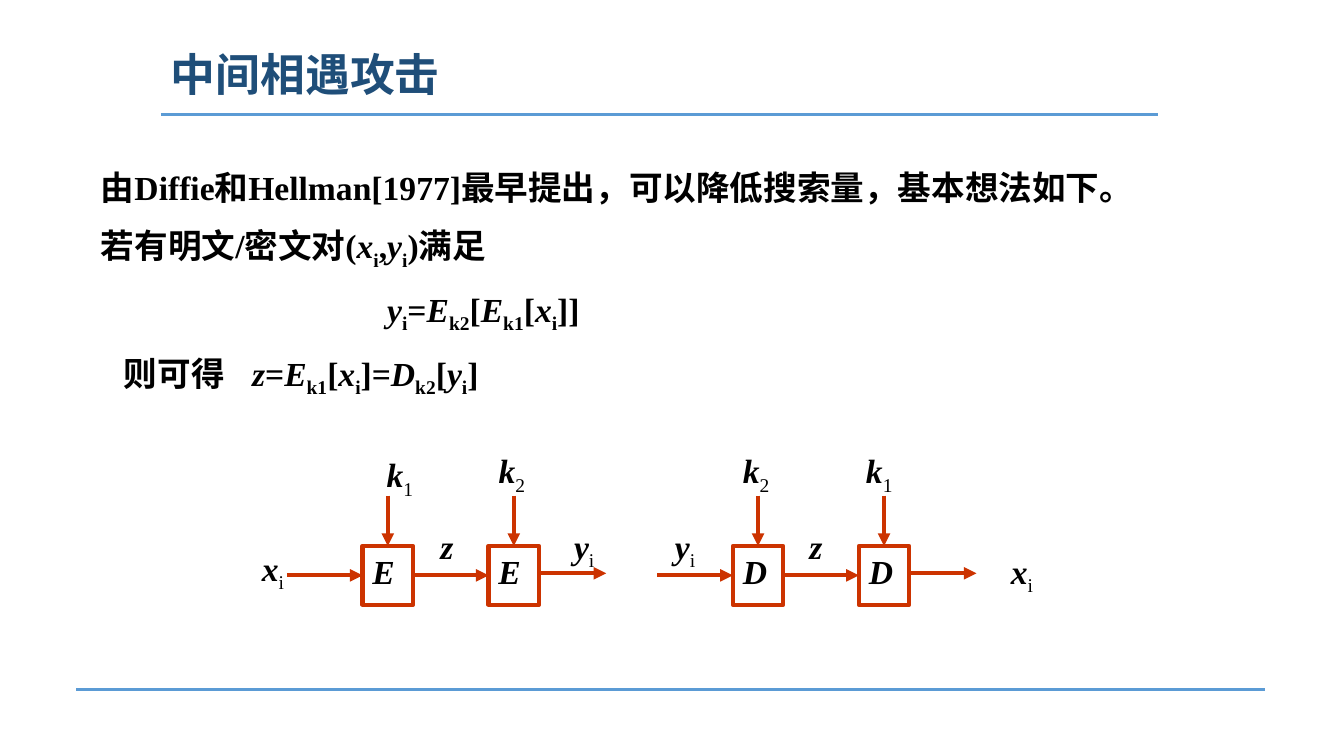
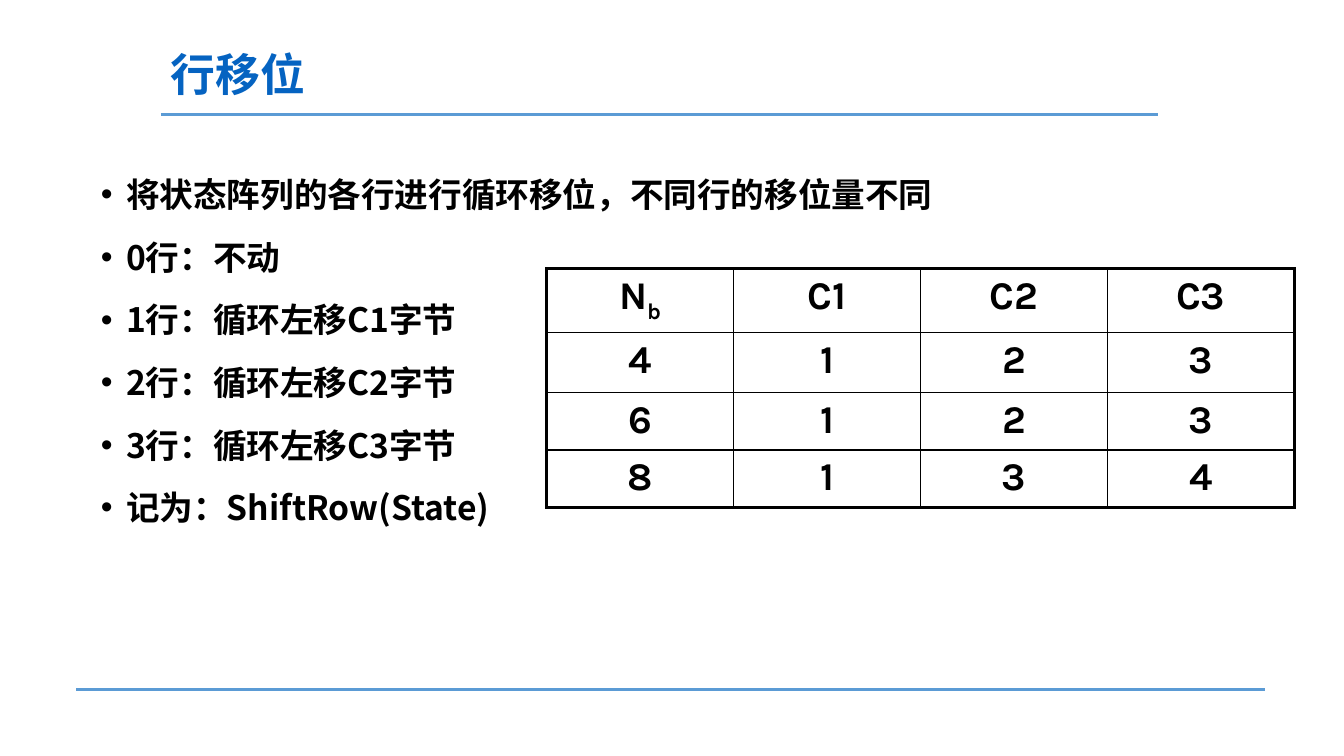
from typing import NamedTuple

from lxml.etree import SubElement
from pptx import Presentation
from pptx.dml.color import RGBColor
from pptx.enum.shapes import MSO_CONNECTOR as Connector, MSO_SHAPE as Shape
from pptx.enum.text import MSO_ANCHOR as Anchor, PP_ALIGN as Align
from pptx.oxml.ns import qn
from pptx.util import Pt

SANS = "Noto Sans CJK SC"
SERIF = "Times New Roman"
TABLE_FONT = "Karla"
BLACK, RULE_BLUE, CIPHER_RED = "000000", "5B9BD5", "CC3300"
TITLE_NAVY, TITLE_BLUE = "1F4E79", "0563C1"
TOP, LEFT, BOTTOM, RIGHT = range(4)


class Box(NamedTuple):
    left: float
    top: float
    width: float
    height: float


class Line(NamedTuple):
    """A body paragraph; in markup, pieces are split by |, * is italic, _ is subscript."""
    markup: str
    indent: float = 0
    tab: float = 0


class Label(NamedTuple):
    markup: str
    left: float
    top: float
    width: float


class Stage(NamedTuple):
    letter: str
    left: float


TITLE_BOX = Box(115, 29, 711.5, 52.5)
BODY_BOX = Box(65, 115, 828, 361)


def rgb(colour: str) -> RGBColor:
    return RGBColor.from_string(colour)


# Text

def style(paragraph, font_name: str, size: float, colour: str = BLACK, bold: bool = True) -> None:
    font = paragraph.font
    font.size, font.bold, font.name = Pt(size), bold, font_name
    font.color.rgb = rgb(colour)
    defaults = paragraph._p.get_or_add_pPr().find(qn("a:defRPr"))
    SubElement(defaults, qn("a:ea")).set("typeface", SANS)


def write(paragraph, markup: str, bold_subscript: bool = True) -> None:
    for piece in markup.split("|"):
        run = paragraph.add_run()
        run.text = piece.lstrip("*_")
        if piece.startswith("*"):
            run.font.italic = True
        elif piece.startswith("_"):
            run._r.get_or_add_rPr().set("baseline", "-25000")
            if not bold_subscript:
                run.font.bold = False


def add_text_frame(slide, box: Box, wrap: bool = True):
    frame = slide.shapes.add_textbox(*map(Pt, box)).text_frame
    frame.word_wrap = wrap
    return frame


def next_paragraph(frame, index: int, space_before: float):
    if index == 0:
        return frame.paragraphs[0]
    paragraph = frame.add_paragraph()
    paragraph.space_before = Pt(space_before)
    return paragraph


# Lines

def add_line(slide, start: tuple[float, float], end: tuple[float, float],
             colour: str, width: float, arrow: bool = False):
    line = slide.shapes.add_connector(Connector.STRAIGHT, *map(Pt, start + end))
    line.line.color.rgb = rgb(colour)
    line.line.width = Pt(width)
    if arrow:
        SubElement(line.line._get_or_add_ln(), qn("a:tailEnd")).set("type", "triangle")
    SubElement(line._element.spPr, qn("a:effectLst"))
    return line


def add_arrow(slide, start: tuple[float, float], end: tuple[float, float]):
    return add_line(slide, start, end, CIPHER_RED, 3, arrow=True)


# Frame shared by the slides

def add_slide(deck, title: str, title_colour: str):
    slide = deck.slides.add_slide(deck.slide_layouts[6])
    add_line(slide, (115, 81.5), (827, 81.5), RULE_BLUE, 2.25)
    add_line(slide, (54.5, 492.5), (903.5, 492.5), RULE_BLUE, 2.25)
    frame = add_text_frame(slide, TITLE_BOX)
    frame.vertical_anchor = Anchor.MIDDLE
    heading = frame.paragraphs[0]
    heading.line_spacing = 0.9
    write(heading, title)
    style(heading, SANS, 32, title_colour)
    return slide


# Meet-in-the-middle slide

ATTACK_LINES = [
    Line("由Diffie和Hellman[1977]最早提出，可以降低搜索量，基本想法如下。"),
    Line("若有明文/密文对(|*x|_i|,|*y|_i|)满足"),
    Line("*y|_i|=|*E|_k2|[|*E|_k1|[|*x|_i|]]", indent=204.5),
    Line("则可得\t|*z|=|*E|_k1|[|*x|_i|]=|*D|_k2|[|*y|_i|]", indent=16.5, tab=197.5),
]
STAGE_WIDTH, STAGE_HEIGHT, STAGE_TOP = 36, 42, 390
KEY_ARROW, INPUT_ARROW, OUTPUT_ARROW = 36, 54, 48
OUTPUT_Y = 409.5
CHAINS = [
    [Stage("E", 259), Stage("E", 349)],
    [Stage("D", 523.5), Stage("D", 613.5)],
]
CIPHER_LABELS = [
    Label("*x|_i", 180, 387.5, 31),
    Label("*z", 307.5, 372, 24),
    Label("*y|_i", 403, 372, 30),
    Label("*y|_i", 475, 372, 30),
    Label("*z", 571, 372, 24),
    Label("*x|_i", 715, 390, 31),
    Label("*k|_1", 269, 321, 34.5),
    Label("*k|_2", 349, 318, 34.5),
    Label("*k|_2", 523.5, 318, 34.5),
    Label("*k|_1", 611.5, 318, 34.5),
]


def add_stage(slide, stage: Stage):
    block = slide.shapes.add_shape(
        Shape.RECTANGLE, *map(Pt, (stage.left, STAGE_TOP, STAGE_WIDTH, STAGE_HEIGHT)))
    block.shadow.inherit = False
    block.fill.background()
    block.line.color.rgb = rgb(CIPHER_RED)
    block.line.width = Pt(3)
    frame = block.text_frame
    frame.word_wrap = False
    frame.vertical_anchor = Anchor.TOP
    letter = frame.paragraphs[0]
    letter.alignment = Align.LEFT
    write(letter, "*" + stage.letter)
    style(letter, SERIF, 24)

    middle = stage.left + STAGE_WIDTH / 2
    key = add_arrow(slide, (middle, STAGE_TOP - KEY_ARROW), (middle, STAGE_TOP))
    key.end_connect(block, TOP)
    return block


def add_chain(slide, stages: list[Stage]) -> None:
    middle = STAGE_TOP + STAGE_HEIGHT / 2
    previous = None
    for stage in stages:
        block = add_stage(slide, stage)
        link = add_arrow(slide, (stage.left - INPUT_ARROW, middle), (stage.left, middle))
        if previous is not None:
            link.begin_connect(previous, RIGHT)
        link.end_connect(block, LEFT)
        previous = block
    exit_x = stages[-1].left + STAGE_WIDTH
    add_arrow(slide, (exit_x, OUTPUT_Y), (exit_x + OUTPUT_ARROW, OUTPUT_Y))


def build_attack_slide(deck) -> None:
    slide = add_slide(deck, "中间相遇攻击", TITLE_NAVY)
    frame = add_text_frame(slide, BODY_BOX)
    for index, line in enumerate(ATTACK_LINES):
        paragraph = next_paragraph(frame, index, 16)
        paragraph.line_spacing = Pt(29.5)
        properties = paragraph._p.get_or_add_pPr()
        properties.set("indent", str(Pt(line.indent)))
        if line.tab:
            stop = SubElement(SubElement(properties, qn("a:tabLst")), qn("a:tab"))
            stop.set("pos", str(Pt(line.tab)))
            stop.set("algn", "l")
        write(paragraph, line.markup)
        style(paragraph, SERIF, 24)

    for chain in CHAINS:
        add_chain(slide, chain)
    for label in CIPHER_LABELS:
        box = Box(label.left, label.top, label.width, 36)
        symbol = add_text_frame(slide, box, wrap=False).paragraphs[0]
        write(symbol, label.markup, bold_subscript=False)
        style(symbol, SERIF, 24)


# Row-shift slide

SHIFT_RULES = [
    "将状态阵列的各行进行循环移位，不同行的移位量不同",
    "0行：不动",
    *(f"{row}行：循环左移C{row}字节" for row in (1, 2, 3)),
    "记为：ShiftRow(State)",
]
SHIFT_TABLE = [
    ["N|_b", "C1", "C2", "C3"],
    ["4", "1", "2", "3"],
    ["6", "1", "2", "3"],
    ["8", "1", "3", "4"],
]
ROW_HEIGHTS = [41, 43, 41, 41]
COLUMN_WIDTH = 133.5


def add_border(cell, side: str, width: float) -> None:
    border = SubElement(cell._tc.get_or_add_tcPr(), qn(f"a:{side}"))
    border.set("w", str(Pt(width)))
    SubElement(SubElement(border, qn("a:solidFill")), qn("a:srgbClr")).set("val", BLACK)


def add_shift_table(slide) -> None:
    row_count, column_count = len(SHIFT_TABLE), len(SHIFT_TABLE[0])
    box = Box(390.5, 192, COLUMN_WIDTH * column_count, sum(ROW_HEIGHTS))
    table = slide.shapes.add_table(row_count, column_count, *map(Pt, box)).table
    table.first_row = table.horz_banding = False
    for column in table.columns:
        column.width = Pt(COLUMN_WIDTH)
    for r, (values, height) in enumerate(zip(SHIFT_TABLE, ROW_HEIGHTS)):
        table.rows[r].height = Pt(height)
        for c, value in enumerate(values):
            cell = table.cell(r, c)
            cell.margin_left = cell.margin_right = Pt(11.5)
            cell.margin_top = cell.margin_bottom = Pt(3.6)
            outer_sides = {"lnL": c == 0, "lnR": c == column_count - 1,
                           "lnT": r == 0, "lnB": r == row_count - 1}
            for side, outer in outer_sides.items():
                add_border(cell, side, 2.25 if outer else 1)
            cell.fill.background()
            paragraph = cell.text_frame.paragraphs[0]
            paragraph.alignment = Align.CENTER
            write(paragraph, value)
            style(paragraph, TABLE_FONT, 28)


def build_shift_slide(deck) -> None:
    slide = add_slide(deck, "行移位", TITLE_BLUE)
    frame = add_text_frame(slide, BODY_BOX)
    for index, rule in enumerate(SHIFT_RULES):
        paragraph = next_paragraph(frame, index, 10)
        paragraph.line_spacing = Pt(34.7)
        properties = paragraph._p.get_or_add_pPr()
        properties.set("marL", str(Pt(18)))
        properties.set("indent", str(Pt(-18)))
        SubElement(properties, qn("a:buFont")).set("typeface", "Arial")
        SubElement(properties, qn("a:buChar")).set("char", "•")
        write(paragraph, rule)
        style(paragraph, SANS, 24)
    add_shift_table(slide)


def main() -> None:
    deck = Presentation()
    deck.slide_width, deck.slide_height = Pt(960), Pt(540)
    build_attack_slide(deck)
    build_shift_slide(deck)
    deck.save("out.pptx")


if __name__ == "__main__":
    main()
